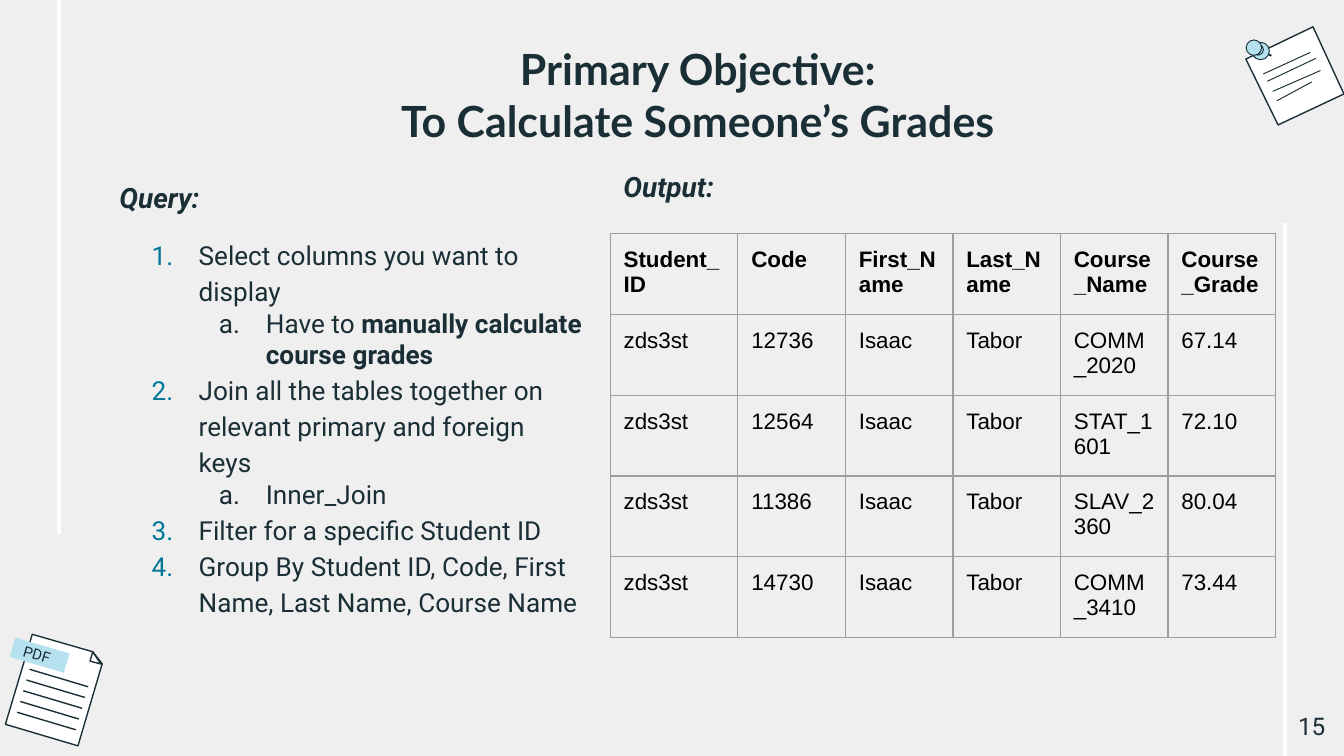
from lxml import etree
from pptx import Presentation
from pptx import util as u
from pptx.dml.color import RGBColor
from pptx.enum import shapes, text
from pptx.oxml import ns

INK, WHITE, SKY, TEAL, GREY = "1A2E35", "FFFFFF", "B6E1EE", "027697", "9E9E9E"
LEFT, MID, RIGHT = text.PP_ALIGN.LEFT, text.PP_ALIGN.CENTER, text.PP_ALIGN.RIGHT
COLS, ROWS = 100, 56.25
BODY = {"name": "Roboto", "size": u.Pt(14)}
HEAD = {"name": "Roboto", "size": u.Pt(15), "bold": True, "italic": True}
STEPS = [
    (0, [("Select columns you want to display", False)]),
    (1, [("Have to ", False), ("manually calculate course grades", True)]),
    (0, [("Join all the tables together on relevant primary and foreign keys", False)]),
    (1, [("Inner_Join", False)]),
    (0, [("Filter for a specific Student ID", False)]),
    (0, [("Group By Student ID, Code, First Name, Last Name, Course Name", False)]),
]
FIELDS = ["Student_ID", "Code", "First_Name", "Last_Name", "Course_Name", "Course_Grade"]
GRADES = [
    ("12736", "COMM_2020", "67.14"),
    ("12564", "STAT_1601", "72.10"),
    ("11386", "SLAV_2360", "80.04"),
    ("14730", "COMM_3410", "73.44"),
]


def grid(*cells):
    """Turn grid columns or rows, ten to the inch, into lengths."""
    return [u.Inches(cell / 10) for cell in cells]


def tint(hue):
    """Turn a hex string into a colour."""
    return RGBColor.from_string(hue)


def node(parent, tag, **attrs):
    """Append a drawing element to its parent."""
    return etree.SubElement(parent, ns.qn("a:" + tag), attrs)


def paint(shape, fill, line=None, width=0.75):
    """Give a shape its fill and outline."""
    shape.shadow.inherit = False
    shape.fill.solid()
    shape.fill.fore_color.rgb = tint(fill)
    if line:
        shape.line.color.rgb = tint(line)
        shape.line.width = u.Pt(width)
    else:
        shape.line.fill.background()


def write(para, words, style, hue=INK):
    """Add a run with the given font values."""
    run = para.add_run()
    run.text = words
    for key, value in style.items():
        setattr(run.font, key, value)
    run.font.color.rgb = tint(hue)


def frame(slide, box):
    """Add an empty wrapping text box and return its frame."""
    body = slide.shapes.add_textbox(*grid(*box)).text_frame
    form = {"word_wrap": True, "vertical_anchor": text.MSO_ANCHOR.TOP}
    form.update({"margin_" + side: u.Inches(0.1) for side in ("left", "right", "top", "bottom")})
    for key, value in form.items():
        setattr(body, key, value)
    return body


def label(slide, box, lines, style, align=LEFT):
    """Add a text box with one paragraph for each line."""
    body = frame(slide, box)
    for i, line in enumerate(lines):
        para = body.add_paragraph() if i else body.paragraphs[0]
        para.alignment = align
        write(para, line, style)


def steps(slide, box):
    """Add the numbered list with its lettered sublevel."""
    body = frame(slide, box)
    looks = [("arabicPeriod", TEAL, 1.15), ("alphaLcPeriod", INK, 1.0)]
    for i, (level, runs) in enumerate(STEPS):
        para = body.add_paragraph() if i else body.paragraphs[0]
        mark, hue, space = looks[level]
        para.level, para.line_spacing = level, space
        props = para._p.get_or_add_pPr()
        props.set("marL", str(u.Inches(0.5 * (level + 1))))
        props.set("indent", str(u.Inches(-0.35)))
        node(node(props, "buClr"), "srgbClr", val=hue)
        node(props, "buFont", typeface="Roboto")
        node(props, "buAutoNum", type=mark)
        for words, bold in runs:
            write(para, words, {**BODY, "bold": bold})


def rule(slide, start, end, hue=INK, width=0.75):
    """Add a straight line."""
    line = slide.shapes.add_connector(shapes.MSO_CONNECTOR.STRAIGHT, *grid(*start, *end))
    line.line.color.rgb = tint(hue)
    line.line.width = u.Pt(width)
    node(line._element.spPr, "effectLst")


def sheet(slide, points):
    """Add an outlined white polygon."""
    first, *rest = [grid(*point) for point in points]
    pen = slide.shapes.build_freeform(*first)
    pen.add_line_segments(rest, close=True)
    paint(pen.convert_to_shape(), WHITE, INK)


def paper(slide):
    """Draw the tilted document with its fold, rules and ribbon."""
    sheet(slide, [(2.4, 47.2), (6.9, 48.5), (7.6, 49.4), (5.8, 55.5), (0.4, 53.9)])
    sheet(slide, [(6.9, 48.5), (7.5, 49.4), (6.7, 49.2)])
    for i in range(5):
        x, y = 2.2 - 0.23 * i, 49.8 + 0.8 * i
        rule(slide, (x, y), (x + 4.36, y + 1.3))
    tag = slide.shapes.add_shape(shapes.MSO_SHAPE.RECTANGLE, *grid(0.85, 48, 4.2, 1.5))
    paint(tag, SKY)
    tag.rotation = 16.3
    body = tag.text_frame
    form = {"margin_left": 0, "margin_right": u.Inches(0.04), "margin_top": 0,
            "margin_bottom": 0, "word_wrap": False, "vertical_anchor": text.MSO_ANCHOR.MIDDLE}
    for key, value in form.items():
        setattr(body, key, value)
    body.paragraphs[0].alignment = MID
    write(body.paragraphs[0], "PDF", {"name": "Roboto", "size": u.Pt(8)})


def note(slide):
    """Draw the pinned note."""
    sheet(slide, [(92.7, 4.4), (97.7, 2), (100, 7), (95.1, 9.3)])
    for start, end in [((94, 5.5), (97.5, 3.9)), ((94.3, 6.05), (97.9, 4.35)),
                       ((94.7, 6.8), (98.25, 5.25)), ((95, 7.5), (97.6, 6.1))]:
        rule(slide, start, end, width=0.5)
    rule(slide, (94.2, 3.95), (94.6, 4.15), width=1)
    for x, y, size in [(93.8, 3.8, 1.3), (93.6, 3.7, 0.8), (93.3, 3.55, 1.15)]:
        disc = slide.shapes.add_shape(
            shapes.MSO_SHAPE.OVAL, *grid(x - size / 2, y - size / 2, size, size))
        paint(disc, SKY, INK, 0.5)


def edge(cell):
    """Draw the four borders of a table cell."""
    props = cell._tc.get_or_add_tcPr()
    for side in ("lnL", "lnR", "lnT", "lnB"):
        line = node(props, side, w=str(u.Pt(0.75)))
        node(node(line, "solidFill"), "srgbClr", val=GREY)


def output(slide, left, top):
    """Add the table of grades."""
    wide, tall = [9.5] + [8] * 5, 5.7
    data = [FIELDS] + [("zds3st", code, "Isaac", "Tabor", name, mark)
                       for code, name, mark in GRADES]
    table = slide.shapes.add_table(
        len(data), len(wide), *grid(left, top, sum(wide), tall * len(data))).table
    table.first_row = table.horz_banding = False
    for col, width in zip(table.columns, grid(*wide)):
        col.width = width
    for r, row in enumerate(data):
        for c, words in enumerate(row):
            cell = table.cell(r, c)
            edge(cell)
            cell.fill.background()
            cell.margin_left = cell.margin_right = u.Inches(0.1)
            cell.margin_top = cell.margin_bottom = u.Inches(0.1)
            style = {"name": "Arial", "size": u.Pt(12), "bold": r == 0}
            write(cell.text_frame.paragraphs[0], words, style, "000000")


def main():
    """Build and save the slide."""
    deck = Presentation()
    deck.slide_width, deck.slide_height = grid(COLS, ROWS)
    slide = deck.slides.add_slide(deck.slide_layouts[6])
    slide.background.fill.solid()
    slide.background.fill.fore_color.rgb = tint("EFEFEF")
    paper(slide)
    note(slide)
    rule(slide, (4.4, 0), (4.4, 39.7), WHITE, 2.25)
    rule(slide, (95.6, 16.6), (95.6, ROWS), WHITE, 2.25)
    label(slide, (9.8, 2.2, 84.3, 6.3), ["Primary Objective:", "To Calculate Someone’s Grades"],
          {"name": "Lato", "size": u.Pt(23), "bold": True}, MID)
    steps(slide, (8.8, 16.5, 35.6, 36.7))
    label(slide, (45.4, 11.6, 21, 3.4), ["Output:"], HEAD)
    output(slide, 45.4, 17.4)
    label(slide, (7.9, 12.4, 21, 3.4), ["Query:"], HEAD)
    label(slide, (93.6, 51.9, 6, 4.3), ["15"], {**BODY, "size": u.Pt(13)}, RIGHT)
    deck.save("out.pptx")


if __name__ == "__main__":
    main()
